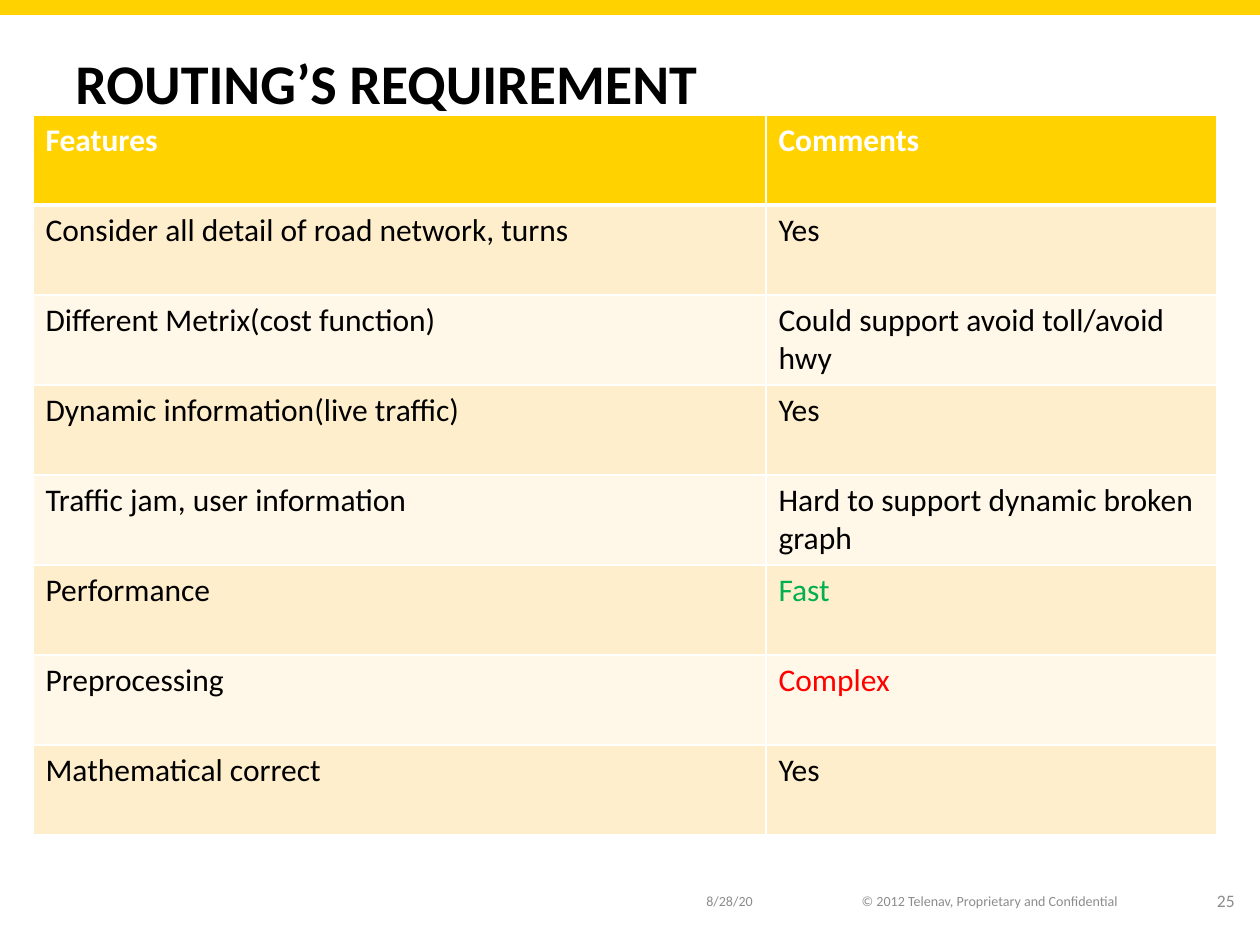
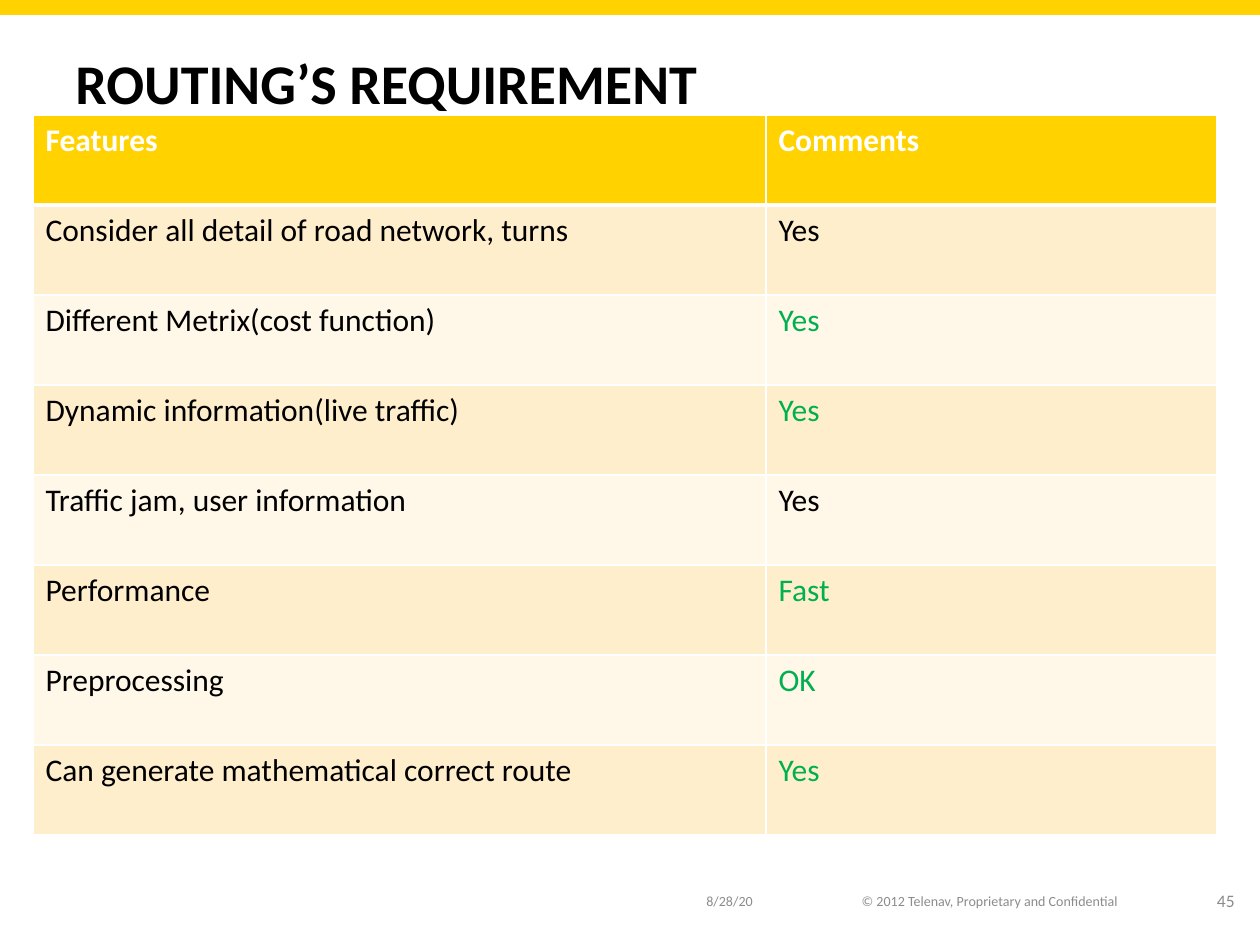
from typing import NamedTuple

from lxml import etree
from pptx import Presentation
from pptx.dml.color import RGBColor
from pptx.enum.shapes import MSO_SHAPE
from pptx.enum.text import MSO_ANCHOR, PP_ALIGN
from pptx.oxml.ns import qn
from pptx.util import Emu, Pt

RECTANGLE = MSO_SHAPE.RECTANGLE
MIDDLE, BOTTOM = MSO_ANCHOR.MIDDLE, MSO_ANCHOR.BOTTOM
LEFT, CENTER, RIGHT = PP_ALIGN.LEFT, PP_ALIGN.CENTER, PP_ALIGN.RIGHT

PX_PER_INCH = 126
SLIDE_WIDTH, SLIDE_HEIGHT = 1260, 945
FONT = "Calibri"
YELLOW, WHITE, BLACK, GRAY = "FFD200", "FFFFFF", "000000", "8C8C8C"
GREEN, RED = "00B050", "FF0000"
ROW_FILLS = ("FFEECC", "FFF7E7")
TITLE = "ROUTING’S REQUIREMENT"
COLUMN_WIDTHS = (733, 451)
ROW_HEIGHT = 90


class Box(NamedTuple):
    left: int
    top: int
    width: int
    height: int


class TextStyle(NamedTuple):
    size: int
    color: str
    bold: bool = False
    align: PP_ALIGN = LEFT
    anchor: MSO_ANCHOR = MIDDLE


class Requirement(NamedTuple):
    feature: str
    comment: str
    comment_color: str = BLACK


class RequirementSlide(NamedTuple):
    number: int
    requirements: list[Requirement]


BAND_BOX = Box(0, 0, SLIDE_WIDTH, 14)
TITLE_BOX = Box(63, 38, 1184, 84)
DATE_BOX = Box(694, 876, 100, 50)
COPYRIGHT_BOX = Box(845, 876, 290, 50)
NUMBER_BOX = Box(1193, 876, 54, 50)
TABLE_LEFT, TABLE_TOP = 33, 115

TITLE_STYLE = TextStyle(32, BLACK, bold=True, anchor=BOTTOM)
DATE_STYLE = TextStyle(8, GRAY)
COPYRIGHT_STYLE = TextStyle(8, GRAY, align=CENTER)
NUMBER_STYLE = TextStyle(10, GRAY, align=RIGHT)
HEADER_STYLE = TextStyle(18, WHITE, bold=True)

SLIDES = [
    RequirementSlide(25, [
        Requirement("Consider all detail of road network, turns", "Yes"),
        Requirement("Different Metrix(cost function)", "Could support avoid toll/avoid hwy"),
        Requirement("Dynamic information(live traffic)", "Yes"),
        Requirement("Traffic jam, user information", "Hard to support dynamic broken graph"),
        Requirement("Performance", "Fast", GREEN),
        Requirement("Preprocessing", "Complex", RED),
        Requirement("Mathematical correct", "Yes"),
    ]),
    RequirementSlide(45, [
        Requirement("Consider all detail of road network, turns", "Yes"),
        Requirement("Different Metrix(cost function)", "Yes", GREEN),
        Requirement("Dynamic information(live traffic)", "Yes", GREEN),
        Requirement("Traffic jam, user information", "Yes"),
        Requirement("Performance", "Fast", GREEN),
        Requirement("Preprocessing", "OK", GREEN),
        Requirement("Can generate mathematical correct route", "Yes", GREEN),
    ]),
]


def px(length: int) -> Emu:
    return Emu(round(length * 914400 / PX_PER_INCH))


def emu_box(box: Box) -> list[Emu]:
    return [px(length) for length in box]


def rgb(color: str) -> RGBColor:
    return RGBColor.from_string(color)


def add_run(paragraph, text: str, style: TextStyle) -> None:
    paragraph.alignment = style.align
    run = paragraph.add_run()
    run.text = text
    run.font.name = FONT
    run.font.size = Pt(style.size)
    run.font.bold = style.bold
    run.font.color.rgb = rgb(style.color)


def add_text(slide, box: Box, text: str, style: TextStyle) -> None:
    frame = slide.shapes.add_textbox(*emu_box(box)).text_frame
    frame.word_wrap = True
    frame.vertical_anchor = style.anchor
    add_run(frame.paragraphs[0], text, style)


def add_band(slide) -> None:
    band = slide.shapes.add_shape(RECTANGLE, *emu_box(BAND_BOX))
    band.shadow.inherit = False
    band.fill.solid()
    band.fill.fore_color.rgb = rgb(YELLOW)
    band.line.color.rgb = rgb(YELLOW)
    band.line.width = Pt(0.75)


def set_borders(cell, top: int, bottom: int) -> None:
    """Draw white borders; the side borders are one point wide."""
    properties = cell._tc.get_or_add_tcPr()
    widths = {"a:lnL": 1, "a:lnR": 1, "a:lnT": top, "a:lnB": bottom}
    for position, (tag, width) in enumerate(widths.items()):
        line = etree.Element(qn(tag), w=str(Pt(width)))
        fill = etree.SubElement(line, qn("a:solidFill"))
        etree.SubElement(fill, qn("a:srgbClr"), val=WHITE)
        properties.insert(position, line)


def fill_cell(cell, text: str, style: TextStyle, fill: str, row: int) -> None:
    cell.fill.solid()
    cell.fill.fore_color.rgb = rgb(fill)
    set_borders(cell, top=3 if row == 1 else 1, bottom=3 if row == 0 else 1)
    add_run(cell.text_frame.paragraphs[0], text, style)


def add_requirement_table(slide, requirements: list[Requirement]) -> None:
    row_count = len(requirements) + 1
    box = Box(TABLE_LEFT, TABLE_TOP, sum(COLUMN_WIDTHS), row_count * ROW_HEIGHT)
    table = slide.shapes.add_table(row_count, len(COLUMN_WIDTHS), *emu_box(box)).table
    for column, width in zip(table.columns, COLUMN_WIDTHS):
        column.width = px(width)
    for table_row in table.rows:
        table_row.height = px(ROW_HEIGHT)

    for column, heading in enumerate(("Features", "Comments")):
        fill_cell(table.cell(0, column), heading, HEADER_STYLE, YELLOW, 0)
    for row, requirement in enumerate(requirements, start=1):
        fill = ROW_FILLS[(row - 1) % 2]
        fill_cell(table.cell(row, 0), requirement.feature, TextStyle(18, BLACK), fill, row)
        comment_style = TextStyle(18, requirement.comment_color)
        fill_cell(table.cell(row, 1), requirement.comment, comment_style, fill, row)


def add_requirement_slide(presentation, content: RequirementSlide) -> None:
    slide = presentation.slides.add_slide(presentation.slide_layouts[6])
    add_band(slide)
    add_text(slide, TITLE_BOX, TITLE, TITLE_STYLE)
    add_text(slide, DATE_BOX, "8/28/20", DATE_STYLE)
    add_text(slide, COPYRIGHT_BOX, "© 2012 Telenav, Proprietary and Confidential", COPYRIGHT_STYLE)
    add_text(slide, NUMBER_BOX, str(content.number), NUMBER_STYLE)
    add_requirement_table(slide, content.requirements)


def main() -> None:
    presentation = Presentation()
    presentation.slide_width = px(SLIDE_WIDTH)
    presentation.slide_height = px(SLIDE_HEIGHT)
    for content in SLIDES:
        add_requirement_slide(presentation, content)
    presentation.save("out.pptx")


if __name__ == "__main__":
    main()
